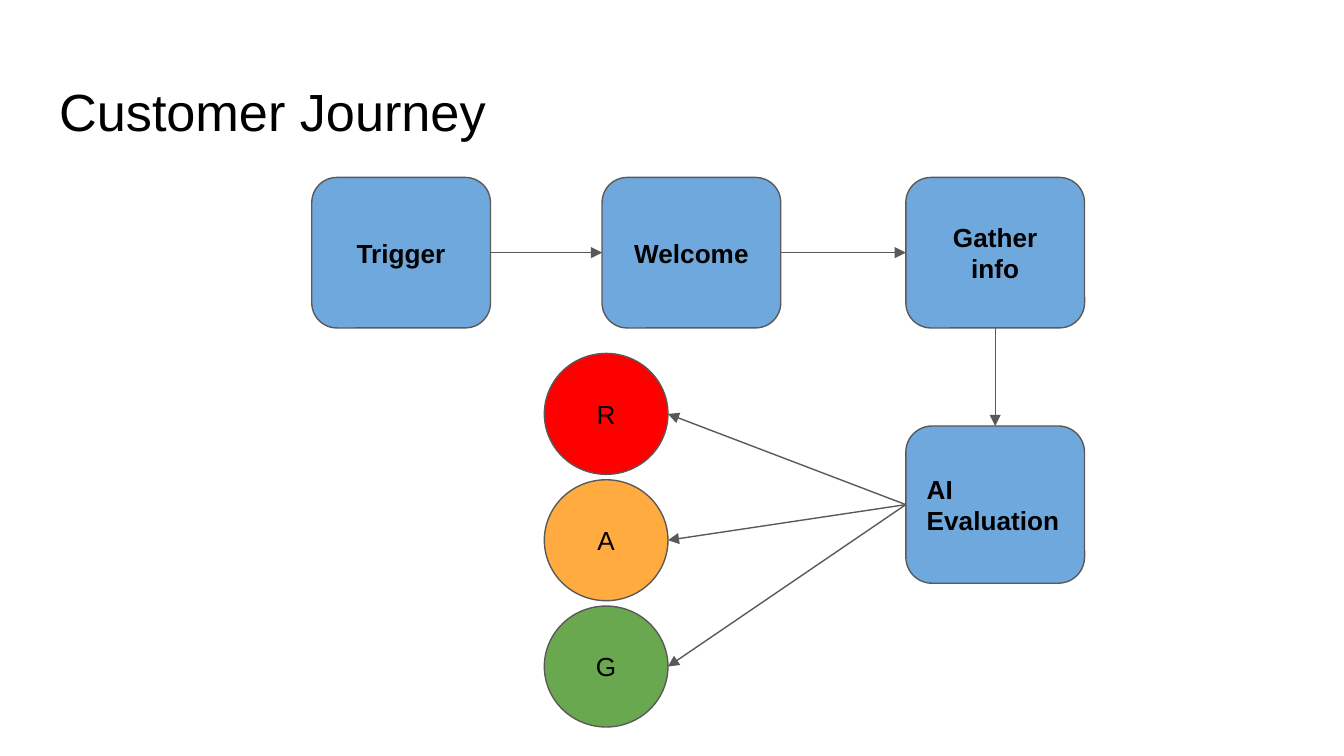
"""Build the customer journey flow slide."""
from dataclasses import dataclass

from lxml.etree import SubElement
from pptx import Presentation
from pptx.dml.color import RGBColor
from pptx.enum.shapes import MSO_CONNECTOR, MSO_SHAPE
from pptx.enum.text import MSO_ANCHOR, PP_ALIGN
from pptx.oxml.ns import qn
from pptx.util import Inches, Pt

SLIDE_WIDTH = 10
SLIDE_HEIGHT = SLIDE_WIDTH * 9 / 16
TITLE = "Customer Journey"
STEP_WIDTH, STEP_HEIGHT, STEP_TOP = 1.33, 1.12, 1.32
STEPS = [("Trigger", 2.32), ("Welcome", 4.48), ("Gather info", 6.74)]
EVALUATION = ("AI Evaluation", 6.74, 3.17, STEP_WIDTH, 1.17)
RATING_LEFT, RATING_TOP, RATING_PITCH = 4.05, 2.63, 0.94
RATING_WIDTH, RATING_HEIGHT = 0.92, 0.9
RATINGS = [("R", "FF0000"), ("A", "FFAB40"), ("G", "6AA84F")]


@dataclass(frozen=True)
class Theme:
    """Colours, font and type sizes of the slide."""
    font: str = "Arial"
    text: str = "000000"
    step: str = "6FA8DC"
    line: str = "595959"
    title_size: int = 28
    label_size: int = 14
    line_width: float = 0.75


THEME = Theme()


def write(frame, text, size, bold=False, align=PP_ALIGN.LEFT, anchor=MSO_ANCHOR.MIDDLE):
    """Set one formatted paragraph in a text frame."""
    frame.word_wrap = True
    frame.vertical_anchor = anchor
    frame.margin_left = frame.margin_right = Inches(0.1)
    frame.margin_top = frame.margin_bottom = Inches(0.1)
    para = frame.paragraphs[0]
    para.alignment = align
    span = para.add_run()
    span.text = text
    span.font.name = THEME.font
    span.font.size = Pt(size)
    span.font.bold = bold
    span.font.color.rgb = RGBColor.from_string(THEME.text)


def style_line(line):
    """Apply the common outline."""
    line.color.rgb = RGBColor.from_string(THEME.line)
    line.width = Pt(THEME.line_width)


def add_node(page, kind, label, bounds, color, bold=False, align=PP_ALIGN.CENTER):
    """Add a filled, labelled shape."""
    shape = page.shapes.add_shape(kind, *map(Inches, bounds))
    shape.shadow.inherit = False
    shape.fill.solid()
    shape.fill.fore_color.rgb = RGBColor.from_string(color)
    style_line(shape.line)
    write(shape.text_frame, label, THEME.label_size, bold, align)
    return shape


def side(shape, across, down):
    """Return the point at the given fractions of a shape's bounds."""
    return shape.left + int(shape.width * across), shape.top + int(shape.height * down)


def add_arrow(page, start, end):
    """Add a straight arrow between two points."""
    arrow = page.shapes.add_connector(MSO_CONNECTOR.STRAIGHT, *start, *end)
    style_line(arrow.line)
    SubElement(arrow.line._get_or_add_ln(), qn("a:tailEnd"), type="triangle")
    SubElement(arrow._element.spPr, qn("a:effectLst"))


def main():
    """Create and save the deck."""
    deck = Presentation()
    deck.slide_width, deck.slide_height = Inches(SLIDE_WIDTH), Inches(SLIDE_HEIGHT)
    page = deck.slides.add_slide(deck.slide_layouts[5])

    title = page.shapes.title
    title.left, title.top, title.width, title.height = map(Inches, (0.34, 0.49, 9.32, 0.63))
    write(title.text_frame, TITLE, THEME.title_size, anchor=MSO_ANCHOR.TOP)

    steps = [
        add_node(page, MSO_SHAPE.ROUNDED_RECTANGLE, label,
                 (left, STEP_TOP, STEP_WIDTH, STEP_HEIGHT), THEME.step, bold=True)
        for label, left in STEPS
    ]
    label, *bounds = EVALUATION
    evaluation = add_node(page, MSO_SHAPE.ROUNDED_RECTANGLE, label, bounds,
                          THEME.step, bold=True, align=PP_ALIGN.LEFT)

    for source, target in zip(steps, steps[1:]):
        add_arrow(page, side(source, 1, 0.5), side(target, 0, 0.5))
    add_arrow(page, side(steps[-1], 0.5, 1), side(evaluation, 0.5, 0))

    for row, (label, color) in enumerate(RATINGS):
        top = RATING_TOP + row * RATING_PITCH
        rating = add_node(page, MSO_SHAPE.OVAL, label,
                          (RATING_LEFT, top, RATING_WIDTH, RATING_HEIGHT), color)
        add_arrow(page, side(evaluation, 0, 0.5), side(rating, 1, 0.5))

    deck.save("out.pptx")


if __name__ == "__main__":
    main()
